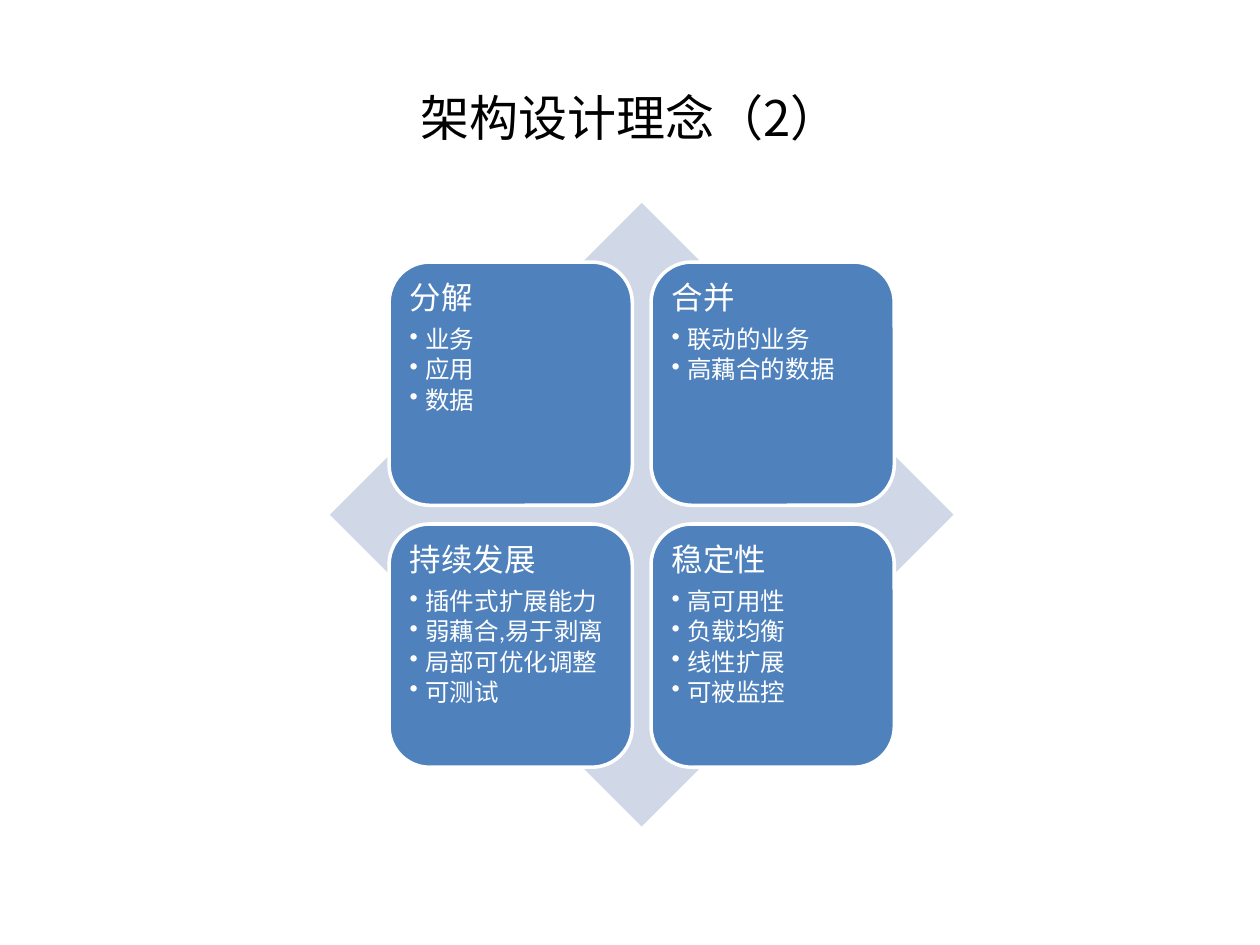
from dataclasses import dataclass

from lxml.etree import SubElement
from pptx import Presentation
from pptx.dml.color import RGBColor
from pptx.enum.shapes import MSO_SHAPE as Preset
from pptx.enum.text import MSO_ANCHOR as Anchor, PP_ALIGN as Align
from pptx.oxml.ns import qn
from pptx.util import Pt

COLORS = {"title": "000000", "diamond": "D0D8E8", "card": "4F81BD", "white": "FFFFFF"}
TITLE_FONT = "Noto Sans CJK SC"
CARD_FONT = "Calibri"

# The cards sit symmetrically around the centre of the diamond
CENTER_X, CENTER_Y = 366.7, 294.1
DIAMOND_SIZE = 356.4
CARD_SIZE = 139
CARD_PITCH = 149.7
BULLET_INDENT = 9


@dataclass
class Card:
    column: int
    row: int
    heading: str
    points: list[str]


CARDS = [
    Card(0, 0, "分解", ["业务", "应用", "数据"]),
    Card(1, 0, "合并", ["联动的业务", "高藕合的数据"]),
    Card(0, 1, "持续发展", ["插件式扩展能力", "弱藕合,易于剥离", "局部可优化调整", "可测试"]),
    Card(1, 1, "稳定性", ["高可用性", "负载均衡", "线性扩展", "可被监控"]),
]


def color(name: str) -> RGBColor:
    return RGBColor.from_string(COLORS[name])


def add_centered_shape(page, preset, x: float, y: float, size: float, fill: str):
    """Add a filled square-sided shape around the point x, y."""
    shape = page.shapes.add_shape(
        preset, Pt(x - size / 2), Pt(y - size / 2), Pt(size), Pt(size))
    shape.shadow.inherit = False
    shape.fill.solid()
    shape.fill.fore_color.rgb = color(fill)
    shape.line.fill.background()
    return shape


def add_title(page, text: str) -> None:
    box = page.shapes.add_textbox(Pt(36), Pt(21.6), Pt(648), Pt(90))
    frame = box.text_frame
    frame.word_wrap = True
    frame.vertical_anchor = Anchor.MIDDLE
    para = frame.paragraphs[0]
    para.alignment = Align.CENTER
    span = para.add_run()
    span.text = text
    span.font.size = Pt(28)
    span.font.name = TITLE_FONT
    span.font.color.rgb = color("title")
    SubElement(span.font._element, qn("a:ea"), typeface=TITLE_FONT)


def style_paragraph(para, text: str, size: float, space_after: float) -> None:
    para.text = text
    para.alignment = Align.LEFT
    para.line_spacing = 0.9
    para.space_after = Pt(space_after)
    para.font.size = Pt(size)
    para.font.name = CARD_FONT
    para.font.color.rgb = color("white")


def add_bullet(para) -> None:
    para.level = 1
    properties = para._p.get_or_add_pPr()
    properties.set("marL", str(Pt(BULLET_INDENT)))
    properties.set("indent", str(-Pt(BULLET_INDENT)))
    bullet = properties.makeelement(qn("a:buChar"), {"char": "•"})
    properties.find(qn("a:defRPr")).addprevious(bullet)


def add_card(page, card: Card) -> None:
    x = CENTER_X + (card.column - 0.5) * CARD_PITCH
    y = CENTER_Y + (card.row - 0.5) * CARD_PITCH
    shape = add_centered_shape(page, Preset.ROUNDED_RECTANGLE, x, y, CARD_SIZE, "card")
    shape.line.color.rgb = color("white")
    shape.line.width = Pt(2)

    frame = shape.text_frame
    frame.word_wrap = True
    frame.vertical_anchor = Anchor.TOP
    frame.margin_left = frame.margin_right = Pt(5)
    frame.margin_top = frame.margin_bottom = Pt(5)
    style_paragraph(frame.paragraphs[0], card.heading, 18, 6.3)
    for point in card.points:
        para = frame.add_paragraph()
        style_paragraph(para, point, 14, 2.1)
        add_bullet(para)


def main() -> None:
    deck = Presentation()
    deck.slide_width, deck.slide_height = Pt(720), Pt(540)
    page = deck.slides.add_slide(deck.slide_layouts[6])

    add_title(page, "架构设计理念（2）")

    # Diamond behind the four cards
    add_centered_shape(page, Preset.DIAMOND, CENTER_X, CENTER_Y, DIAMOND_SIZE, "diamond")
    for card in CARDS:
        add_card(page, card)

    deck.save("out.pptx")


if __name__ == "__main__":
    main()
